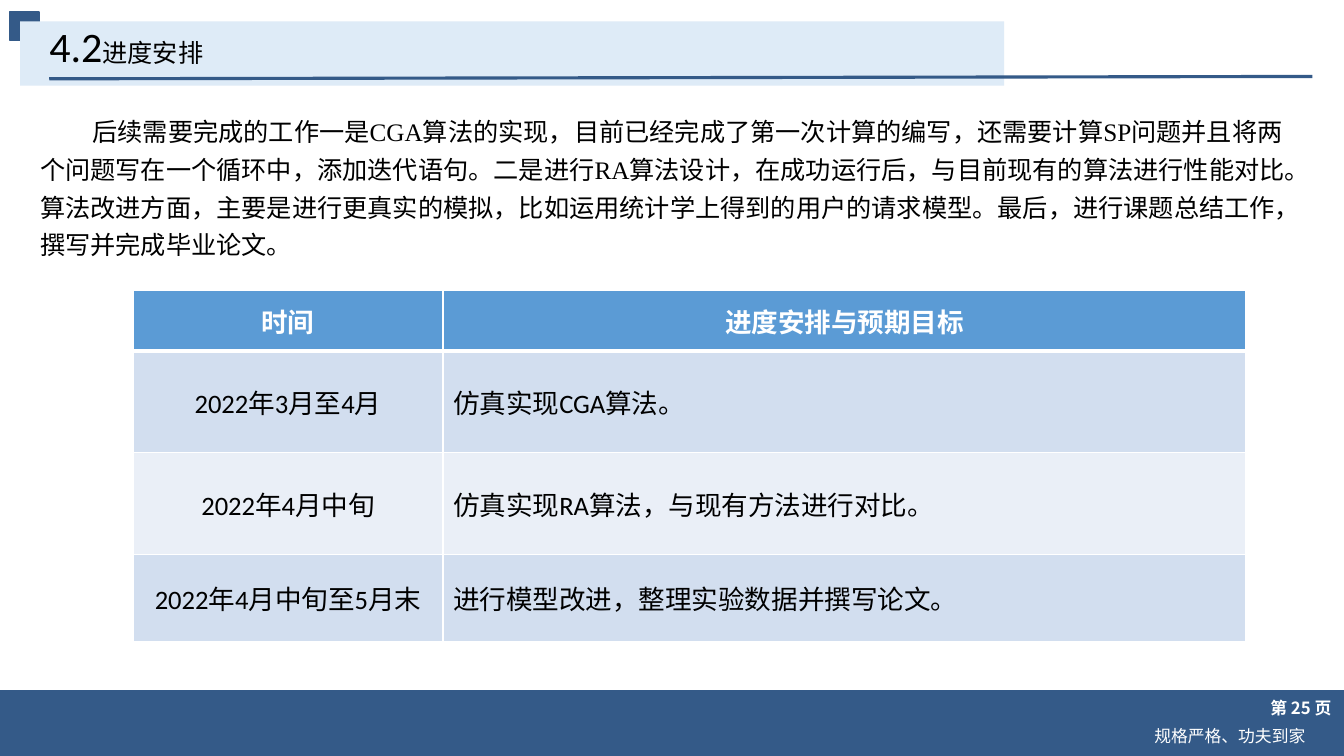
import pptx
import pptx.dml.color
import pptx.enum.shapes
import pptx.enum.text
import pptx.oxml
import pptx.oxml.ns
import pptx.util

Pt = pptx.util.Pt
RGBColor = pptx.dml.color.RGBColor
PP_ALIGN = pptx.enum.text.PP_ALIGN
MIDDLE = pptx.enum.text.MSO_ANCHOR.MIDDLE

NAVY = RGBColor(0x34, 0x5A, 0x88)
PALE_BLUE = RGBColor(0xDE, 0xEB, 0xF7)
HEADER_BLUE = RGBColor(0x5B, 0x9B, 0xD5)
BAND_DARK = RGBColor(0xD2, 0xDE, 0xEF)
BAND_LIGHT = RGBColor(0xEA, 0xEF, 0xF7)
WHITE = RGBColor(0xFF, 0xFF, 0xFF)
BLACK = RGBColor(0, 0, 0)
CJK_FONT = "Noto Sans CJK SC"


def add_run(paragraph, text, size, font_name, color, bold=False):
    """Add text with a Latin font and the shared Chinese font."""
    run = paragraph.add_run()
    run.text = text
    font = run.font
    font.size, font.name, font.bold = Pt(size), font_name, bold
    font.color.rgb = color
    east_asian = pptx.oxml.parse_xml(
        f'<a:ea {pptx.oxml.ns.nsdecls("a")} typeface="{CJK_FONT}"/>')
    run.font._element.find(pptx.oxml.ns.qn("a:latin")).addnext(east_asian)


def add_text_box(left, top, width, height):
    frame = slide.shapes.add_textbox(Pt(left), Pt(top), Pt(width), Pt(height)).text_frame
    frame.word_wrap = True
    return frame


presentation = pptx.Presentation()
presentation.slide_width, presentation.slide_height = Pt(960), Pt(540)
slide = presentation.slides.add_slide(presentation.slide_layouts[5])

# Bands and heading rule
for left, top, width, height, color, outlined in (
    (7, 8.5, 21, 20, NAVY, True),
    (0, 493, 960, 47, NAVY, False),
    (14.4, 15.2, 702.8, 46, PALE_BLUE, False),
):
    band = slide.shapes.add_shape(
        pptx.enum.shapes.MSO_SHAPE.RECTANGLE, Pt(left), Pt(top), Pt(width), Pt(height))
    band.shadow.inherit = False
    band.fill.solid()
    band.fill.fore_color.rgb = color
    if outlined:
        band.line.color.rgb = color
        band.line.width = Pt(1)
    else:
        band.line.fill.background()

heading_rule = slide.shapes.add_connector(
    pptx.enum.shapes.MSO_CONNECTOR.STRAIGHT, Pt(35.2), Pt(56.3), Pt(937.5), Pt(54.6))
heading_rule.line.color.rgb = NAVY
heading_rule.line.width = Pt(2.25)
heading_rule._element.spPr.append(
    pptx.oxml.parse_xml(f'<a:effectLst {pptx.oxml.ns.nsdecls("a")}/>'))

# Footer
for text, box, alignment, bold in (
    ("第 25 页", (867, 488, 84, 35.3), PP_ALIGN.RIGHT, True),
    ("规格严格、功夫到家", (824.5, 518.4, 126, 14.4), PP_ALIGN.JUSTIFY, False),
):
    footer = add_text_box(*box)
    footer.margin_left = footer.margin_right = footer.margin_top = footer.margin_bottom = 0
    footer.vertical_anchor = MIDDLE
    footer.paragraphs[0].alignment = alignment
    add_run(footer.paragraphs[0], text, 12, CJK_FONT, WHITE, bold)

# Title, brought in front of its band
title = slide.shapes.title
title.left, title.top, title.width, title.height = Pt(28), Pt(15.2), Pt(702.8), Pt(39.6)
title.element.getparent().append(title.element)
title.text_frame.vertical_anchor = MIDDLE
title.text_frame.auto_size = pptx.enum.text.MSO_AUTO_SIZE.NONE
heading = title.text_frame.paragraphs[0]
heading.alignment = PP_ALIGN.LEFT
heading.line_spacing = 0.9
add_run(heading, "4.2", 30, "Calibri", BLACK)
add_run(heading, "进度安排", 18, "Times New Roman", BLACK)

# Schedule
SCHEDULE = (
    ("时间", "进度安排与预期目标"),
    ("2022年3月至4月", "仿真实现CGA算法。"),
    ("2022年4月中旬", "仿真实现RA算法，与现有方法进行对比。"),
    ("2022年4月中旬至5月末", "进行模型改进，整理实验数据并撰写论文。"),
)
ROW_FILLS = (HEADER_BLUE, BAND_DARK, BAND_LIGHT, BAND_DARK)
schedule = slide.shapes.add_table(
    4, 2, Pt(95), Pt(207.6), Pt(795), Pt(250)).table
for column, width in zip(schedule.columns, (221.5, 573.5)):
    column.width = Pt(width)
for row, height in zip(schedule.rows, (43.2, 72.7, 72.7, 61.4)):
    row.height = Pt(height)

for row_index, entries in enumerate(SCHEDULE):
    is_header = row_index == 0
    for column_index, entry in enumerate(entries):
        cell = schedule.cell(row_index, column_index)
        cell.vertical_anchor = MIDDLE
        for edge in "LRTB":
            under_header = (row_index, edge) in ((0, "B"), (1, "T"))
            border_width = Pt(3 if under_header else 1)
            cell._tc.get_or_add_tcPr().append(pptx.oxml.parse_xml(
                f'<a:ln{edge} {pptx.oxml.ns.nsdecls("a")} w="{border_width}">'
                f'<a:solidFill><a:srgbClr val="{WHITE}"/></a:solidFill></a:ln{edge}>'))
        cell.fill.solid()
        cell.fill.fore_color.rgb = ROW_FILLS[row_index]
        paragraph = cell.text_frame.paragraphs[0]
        centred = is_header or column_index == 0
        paragraph.alignment = PP_ALIGN.CENTER if centred else PP_ALIGN.LEFT
        add_run(paragraph, entry, 19, "Calibri", WHITE if is_header else BLACK, is_header)

# Outlook
outlook = add_text_box(21.6, 74.2, 906.5, 113.8).paragraphs[0]
outlook.line_spacing = 1.25
outlook._p.get_or_add_pPr().set("indent", str(Pt(37.4)))
add_run(
    outlook,
    "后续需要完成的工作一是CGA算法的实现，目前已经完成了第一次计算的编写，"
    "还需要计算SP问题并且将两个问题写在一个循环中，添加迭代语句。"
    "二是进行RA算法设计，在成功运行后，与目前现有的算法进行性能对比。"
    "算法改进方面，主要是进行更真实的模拟，比如运用统计学上得到的用户的请求模型。"
    "最后，进行课题总结工作，撰写并完成毕业论文。",
    18, "Times New Roman", BLACK)

presentation.save("out.pptx")
